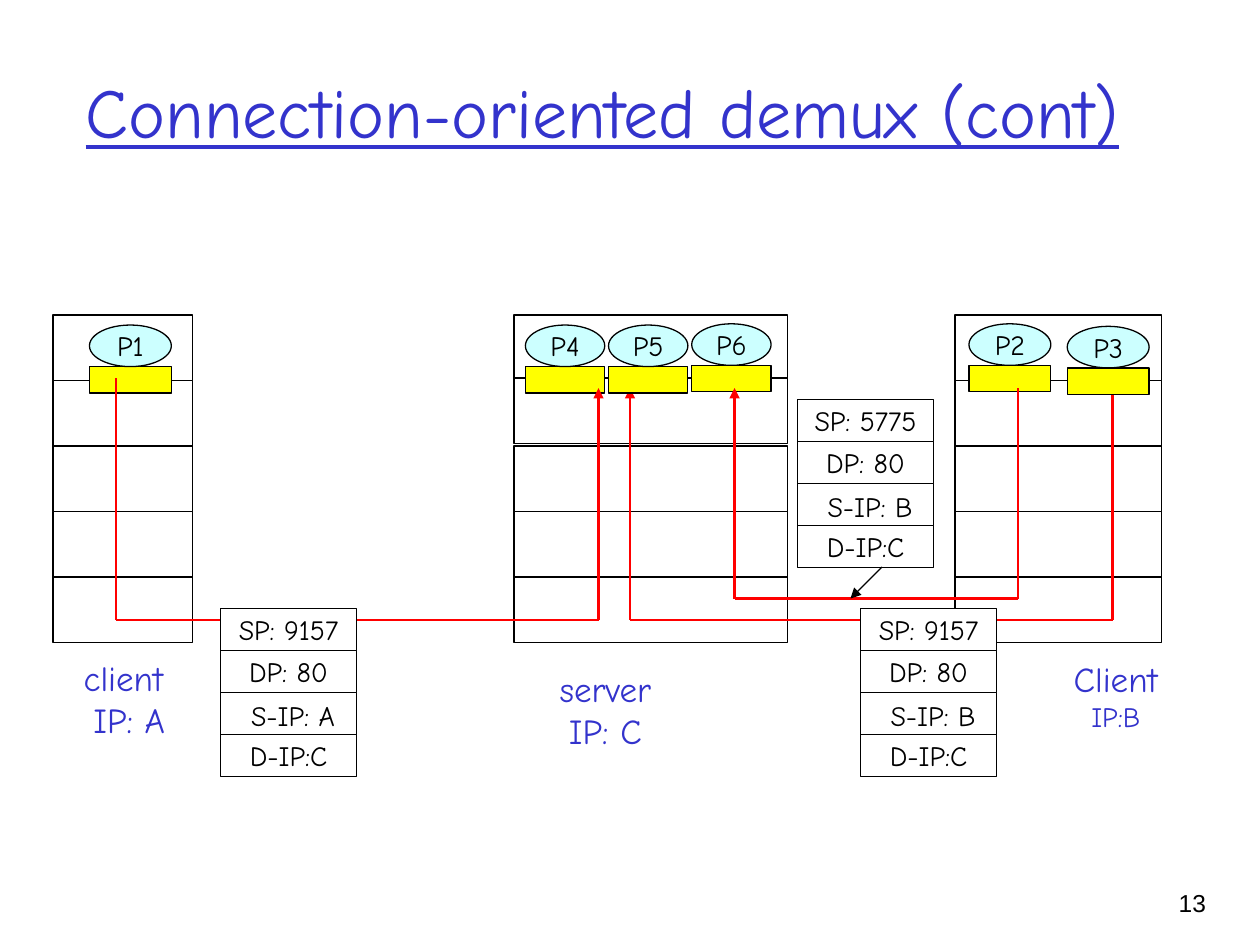
from pptx import Presentation
from pptx.dml.color import RGBColor
from pptx.enum.shapes import MSO_CONNECTOR as Connector, MSO_SHAPE as Shape
from pptx.enum.text import MSO_ANCHOR as Anchor, MSO_AUTO_SIZE as AutoSize, PP_ALIGN as Align
from pptx.oxml.ns import qn
from pptx.util import Inches, Pt
from lxml.etree import SubElement

BLACK, WHITE, RED, BLUE = "000000", "FFFFFF", "FF0000", "3333CC"
YELLOW, CYAN = "FFFF00", "CCFFFF"
ROW_STEP = 0.52
FIELD_WIDTH, FIELD_STEP = 1.08, 1 / 3


def color(value):
    """Turn a hex string into a colour."""
    return RGBColor.from_string(value)


def write(frame, text, size=16, ink=BLACK, font="Comic Neue", align=Align.CENTER,
          anchor=Anchor.MIDDLE, wrap=False, underline=False):
    """Fill a text frame; size is one number or one number per line."""
    frame.word_wrap = wrap
    frame.auto_size = AutoSize.NONE
    frame.vertical_anchor = anchor
    lines = text.split("\n")
    sizes = size if isinstance(size, tuple) else (size,) * len(lines)
    for index, (line, points) in enumerate(zip(lines, sizes)):
        paragraph = frame.paragraphs[0] if index == 0 else frame.add_paragraph()
        paragraph.alignment = align
        run = paragraph.add_run()
        run.text = line
        run.font.size = Pt(points)
        run.font.name = font
        run.font.underline = underline
        run.font.color.rgb = color(ink)


def add_label(slide, box, text, **style):
    """Add a free text label."""
    label = slide.shapes.add_textbox(*map(Inches, box))
    write(label.text_frame, text, anchor=Anchor.TOP, **style)


def add_box(slide, box, fill=WHITE, text="", kind=Shape.RECTANGLE):
    """Add an outlined shape with optional centred text."""
    shape = slide.shapes.add_shape(kind, *map(Inches, box))
    shape.shadow.inherit = False
    shape.fill.solid()
    shape.fill.fore_color.rgb = color(fill)
    shape.line.color.rgb = color(BLACK)
    shape.line.width = Pt(0.74)
    if text:
        write(shape.text_frame, text)


def add_line(slide, start, end, ink=RED, width=1.5, arrow=False):
    """Add a straight line, with an arrowhead at its end if asked."""
    line = slide.shapes.add_connector(Connector.STRAIGHT, *map(Inches, start + end))
    line.line.color.rgb = color(ink)
    line.line.width = Pt(width)
    if arrow:
        SubElement(line.line._get_or_add_ln(), qn("a:tailEnd"), type="triangle")
    SubElement(line._element.spPr, qn("a:effectLst"))


def add_host(slide, left, width, second_row=3.02):
    """Add the five protocol layers of one host."""
    for row in range(5):
        top = second_row if row == 1 else 2.5 + row * ROW_STEP
        add_box(slide, (left, top, width, ROW_STEP))


def add_process(slide, name, left, top, width):
    """Add a process ellipse standing on its socket."""
    add_box(slide, (left, top + 0.33, width, 0.21), YELLOW)
    add_box(slide, (left, top, width, 0.33), CYAN, name, Shape.OVAL)


def add_connection(slide, client_x, client_top, server_x, depth):
    """Route a connection from a client socket up to a server socket."""
    add_line(slide, (client_x, client_top), (client_x, depth))
    add_line(slide, (client_x, depth), (server_x, depth))
    add_line(slide, (server_x, depth), (server_x, 3.08), arrow=True)


def add_segment(slide, left, top, port, source):
    """Add the stacked header fields of one segment."""
    fields = [f"SP: {port}", "DP: 80", "", "D-IP:C"]
    for row, field in enumerate(fields):
        add_box(slide, (left, top + row * FIELD_STEP, FIELD_WIDTH, FIELD_STEP), text=field)
    add_label(slide, (left + 0.14, top + 2 * FIELD_STEP, 0.87, 0.37), f"S-IP: {source}")


def main():
    """Build the slide and save it."""
    deck = Presentation()
    deck.slide_width, deck.slide_height = Inches(10), Inches(7.5)
    slide = deck.slides.add_slide(deck.slide_layouts[5])

    title = slide.shapes.title
    title.left, title.top, title.width, title.height = map(Inches, (0.58, 0.25, 8.5, 1.25))
    write(title.text_frame, "Connection-oriented demux (cont)", size=40, ink=BLUE,
          align=Align.LEFT, wrap=True, underline=True)

    add_host(slide, 0.42, 1.11)
    add_host(slide, 7.58, 1.64)
    add_host(slide, 4.08, 2.17, second_row=3)

    for box, text, size in (((0.55, 5.16, 0.86, 0.77), "client\n IP: A", 20),
                            ((4.34, 5.25, 0.93, 0.77), "server\nIP: C", 20),
                            ((8.42, 5.17, 0.87, 0.7), "Client\nIP:B", (20, 16))):
        add_label(slide, box, text, size=size, ink=BLUE)

    # The P3-P5 line runs behind its sockets, the other two in front.
    add_connection(slide, 8.83, 3, 5, 4.92)
    for process in (("P1", 0.71, 2.58, 0.65), ("P2", 7.69, 2.57, 0.65),
                    ("P3", 8.47, 2.59, 0.65), ("P4", 4.17, 2.58, 0.63),
                    ("P5", 4.83, 2.58, 0.63), ("P6", 5.49, 2.57, 0.63)):
        add_process(slide, *process)
    add_connection(slide, 0.92, 3, 4.75, 4.92)
    add_connection(slide, 8.08, 3.08, 5.83, 4.75)

    for segment in ((1.75, 4.83, 9157, "A"), (6.83, 4.83, 9157, "B"),
                    (6.33, 3.17, 5775, "B")):
        add_segment(slide, *segment)
    add_line(slide, (7, 4.5), (6.75, 4.75), ink=BLACK, width=0.74, arrow=True)

    add_label(slide, (8.93, 7, 0.74, 0.5), "13", size=14, font="Arial",
              align=Align.RIGHT, wrap=True)
    deck.save("out.pptx")


main()
